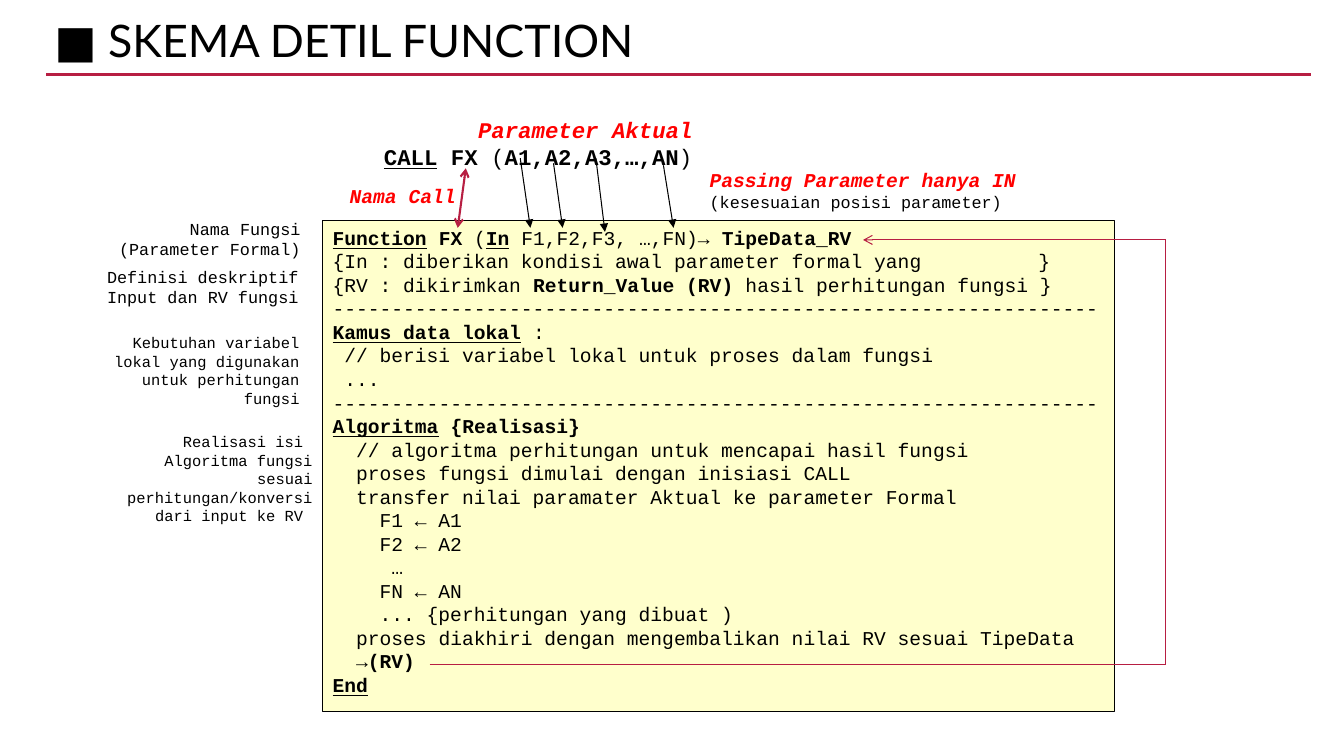
from pptx import Presentation
from pptx.dml.color import RGBColor
from pptx.enum.shapes import MSO_CONNECTOR, MSO_SHAPE
from pptx.enum.text import MSO_ANCHOR, PP_ALIGN
from pptx.oxml.ns import qn
from pptx.util import Inches, Pt
from lxml import etree

STRAIGHT = MSO_CONNECTOR.STRAIGHT
RECTANGLE = MSO_SHAPE.RECTANGLE
TOP, MIDDLE = MSO_ANCHOR.TOP, MSO_ANCHOR.MIDDLE
LEFT, RIGHT = PP_ALIGN.LEFT, PP_ALIGN.RIGHT

COLORS = {"ink": "000000", "accent": "B71E42", "note": "FF0000",
          "code": "FFFFCC", "paper": "FFFFFF"}
MONO = "Courier New"
STYLES = {"": {}, "b": {"bold": True}, "bu": {"bold": True, "underline": True},
          "bi": {"bold": True, "italic": True}}
CODE_SIZE = 14
CHAR_RATIO = 0.6
CLOSING_BRACE_COLUMN = 60
RULE = "-" * 65

CODE_LINES = [
    (0, [("Function", "bu"), (" ", ""), ("FX ", "b"), ("(", ""), ("In", "bu"),
         (" F1,F2,F3, …,FN)→ ", ""), ("TipeData_RV", "b")]),
    (0, [("{In : diberikan kondisi awal parameter formal yang\t}", "")]),
    (0, [("{RV : dikirimkan ", ""), ("Return_Value (RV)", "b"),
         (" hasil perhitungan fungsi }", "")]),
    (0, [(RULE, "")]),
    (0, [("Kamus data lokal", "bu"), (" :", "")]),
    (1, [("// berisi variabel lokal untuk proses dalam fungsi", "")]),
    (1, [("...", "")]),
    (0, [(RULE, "")]),
    (0, [("Algoritma", "bu"), (" {Realisasi}", "b")]),
    (2, [("// algoritma perhitungan untuk mencapai hasil fungsi", "")]),
    (2, [("proses fungsi dimulai dengan inisiasi CALL", "")]),
    (2, [("transfer nilai paramater Aktual ke parameter Formal", "")]),
    (4, [("F1 ← A1", "")]),
    (4, [("F2 ← A2", "")]),
    (5, [("…", "")]),
    (4, [("FN ← AN", "")]),
    (4, [("... {perhitungan yang dibuat )", "")]),
    (2, [("proses diakhiri dengan mengembalikan nilai RV sesuai TipeData", "")]),
    (2, [("→", ""), ("(RV)", "b")]),
    (0, [("End", "bu")]),
]

SIDE_LABELS = [
    ((0.85, 2.12, 2.23, 0.61), 12, ["Nama Fungsi", "(Parameter Formal)"]),
    ((0.71, 2.6, 2.35, 0.55), 12, ["Definisi deskriptif", "Input dan RV fungsi"]),
    ((0.87, 3.26, 2.2, 0.76), 11,
     ["Kebutuhan variabel lokal yang digunakan untuk perhitungan fungsi"]),
    ((1, 4.24, 2.2, 1.15), 11,
     ["Realisasi isi ",
      "Algoritma fungsi sesuai perhitungan/konversi dari input ke RV "]),
]

PARAMETER_ARROWS = [((5.16, 1.57), (5.26, 2.26)), ((5.49, 1.62), (5.58, 2.26)),
                    ((5.91, 1.57), (6, 2.3)), ((6.58, 1.64), (6.68, 2.26))]


def color(name):
    return RGBColor.from_string(COLORS[name])


def columns(count, size):
    return Pt(count * size * CHAR_RATIO)


def prepare_frame(shape, **values):
    frame = shape.text_frame
    for name, value in {"word_wrap": True, "vertical_anchor": TOP, **values}.items():
        setattr(frame, name, value)
    return frame


def add_textbox(page, box, **values):
    return prepare_frame(page.shapes.add_textbox(*map(Inches, box)), **values)


def add_panel(page, box, fill, outline=None, **values):
    panel = page.shapes.add_shape(RECTANGLE, *map(Inches, box))
    panel.shadow.inherit = False
    panel.fill.solid()
    panel.fill.fore_color.rgb = color(fill)
    if outline:
        panel.line.color.rgb = color(outline)
        panel.line.width = Pt(0.5)
    else:
        panel.line.fill.background()
    return prepare_frame(panel, **values)


def write(frame, spans, size, ink="ink", font=MONO, align=LEFT, indent=0, first=False):
    para = frame.paragraphs[0] if first else frame.add_paragraph()
    para.alignment = align
    if indent:
        properties = para._p.get_or_add_pPr()
        properties.set("marL", str(columns(indent, size)))
        properties.set("indent", "0")
    for text, style in spans:
        span = para.add_run()
        span.text = text
        span.font.color.rgb = color(ink)
        for name, value in {"name": font, "size": Pt(size), **STYLES[style]}.items():
            setattr(span.font, name, value)
    return para


def add_line(page, start, end, ink, width, head=None, tail=None):
    line = page.shapes.add_connector(STRAIGHT, *map(Inches, (*start, *end)))
    line.line.color.rgb = color(ink)
    line.line.width = Pt(width)
    outline = line.line._get_or_add_ln()
    for tag, kind in (("a:headEnd", head), ("a:tailEnd", tail)):
        if kind:
            etree.SubElement(outline, qn(tag), type=kind)
    etree.SubElement(line._element.spPr, qn("a:effectLst"))


def add_title(page, box):
    left, top, width, height = box
    add_line(page, (left + 0.02, top + 0.6), (left + 12.56, top + 0.6), "accent", 2.5)
    para = write(add_textbox(page, box), [("■ SKEMA DETIL FUNCTION", "")], 32,
                 font="Lato", first=True)
    para.line_spacing = 0.9


def add_side_labels(page):
    for box, size, lines in SIDE_LABELS:
        frame = add_textbox(page, box)
        for number, text in enumerate(lines):
            write(frame, [(text, "")], size, align=RIGHT, first=number == 0)


def add_call(page, box):
    frame = add_panel(page, box, "paper", vertical_anchor=MIDDLE)
    write(frame, [("Parameter Aktual", "bi")], 16, "note", indent=7, first=True)
    write(frame, [("CALL", "bu"), (" ", ""), ("FX ", "b"), ("(", ""),
                  ("A1,A2,A3,…,AN", "b"), (")", "")], 16)


def add_code(page, box):
    frame = add_panel(page, box, "code", "ink")
    for number, (indent, spans) in enumerate(CODE_LINES):
        para = write(frame, spans, CODE_SIZE, indent=indent, first=number == 0)
        if any("\t" in text for text, style in spans):
            stops = etree.SubElement(para._p.get_or_add_pPr(), qn("a:tabLst"))
            position = columns(CLOSING_BRACE_COLUMN, CODE_SIZE)
            etree.SubElement(stops, qn("a:tab"), pos=str(position), algn="l")


def add_passing(page, box):
    left, top, width, height = box
    for start, end in PARAMETER_ARROWS:
        add_line(page, start, end, "ink", 0.75, tail="triangle")
    add_line(page, (4.62, 1.67), (4.54, 2.26), "accent", 1.5, "arrow", "arrow")
    name_frame = add_textbox(page, (left, top + 0.16, 1.26, 0.34), word_wrap=False)
    write(name_frame, [("Nama Call", "bi")], 14, "note", align=RIGHT, first=True)
    rule_frame = add_textbox(page, (left + 3.58, top, 3.26, height), word_wrap=False)
    write(rule_frame, [("Passing Parameter hanya IN", "bi")], 14, "note", first=True)
    write(rule_frame, [("(kesesuaian posisi parameter)", "")], 12)


def add_return_route(page, box):
    left, top, width, height = box
    right, bottom = left + width, top + height
    route = [(left, bottom), (right, bottom), (right, top), (8.56, top)]
    for start, end in zip(route, route[1:]):
        add_line(page, start, end, "accent", 0.75,
                 tail="arrow" if end == route[-1] else None)


def main():
    deck = Presentation()
    deck.slide_width, deck.slide_height = Inches(13.33), Inches(7.5)
    page = deck.slides.add_slide(deck.slide_layouts[6])
    add_title(page, (0.44, 0.14, 12.6, 0.54))
    add_side_labels(page)
    add_call(page, (3.71, 1.07, 7.3, 0.69))
    add_code(page, (3.2, 2.19, 7.85, 4.87))
    add_passing(page, (3.36, 1.62, 6.84, 0.54))
    add_return_route(page, (4.26, 2.38, 7.3, 4.21))
    deck.save("out.pptx")


if __name__ == "__main__":
    main()
